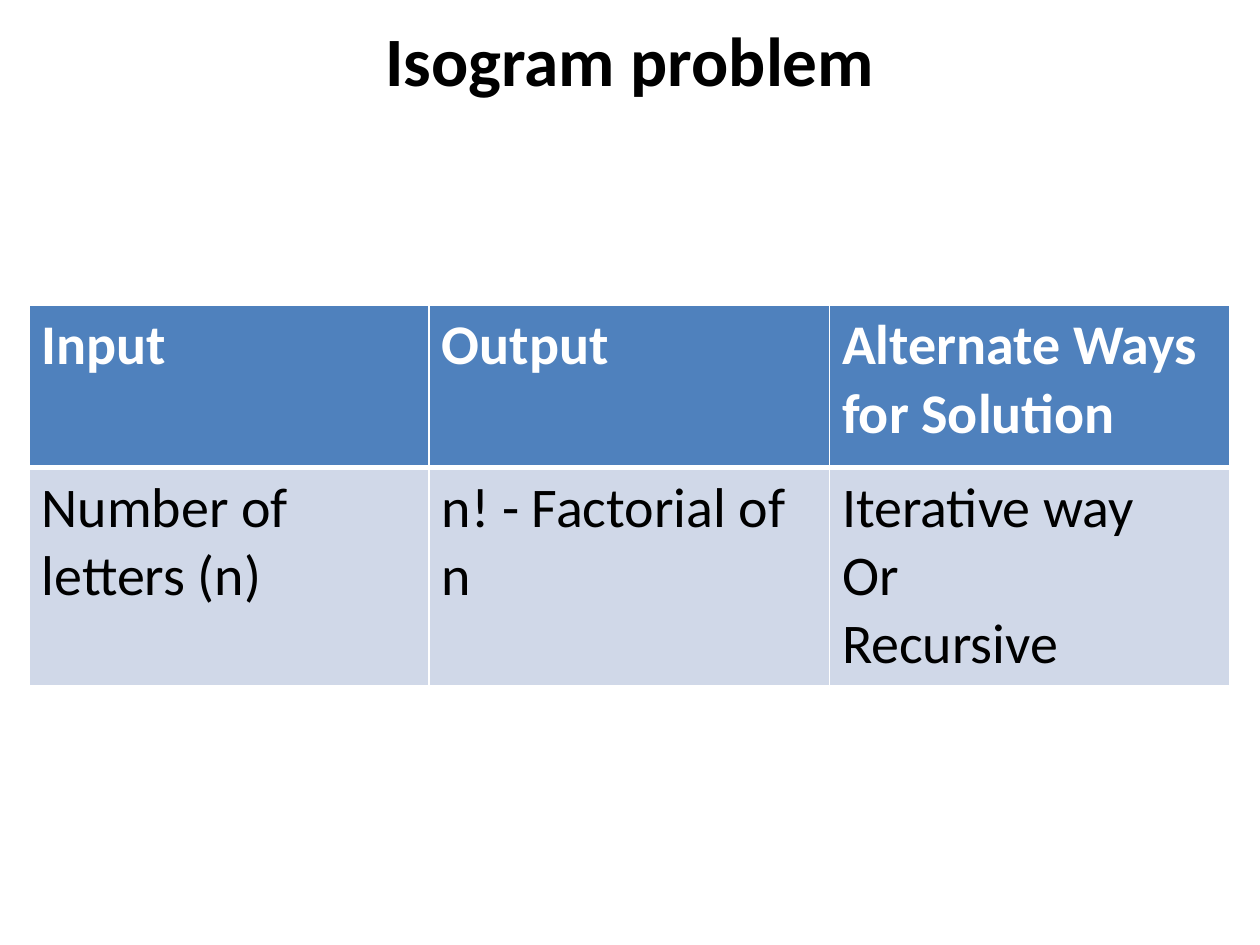
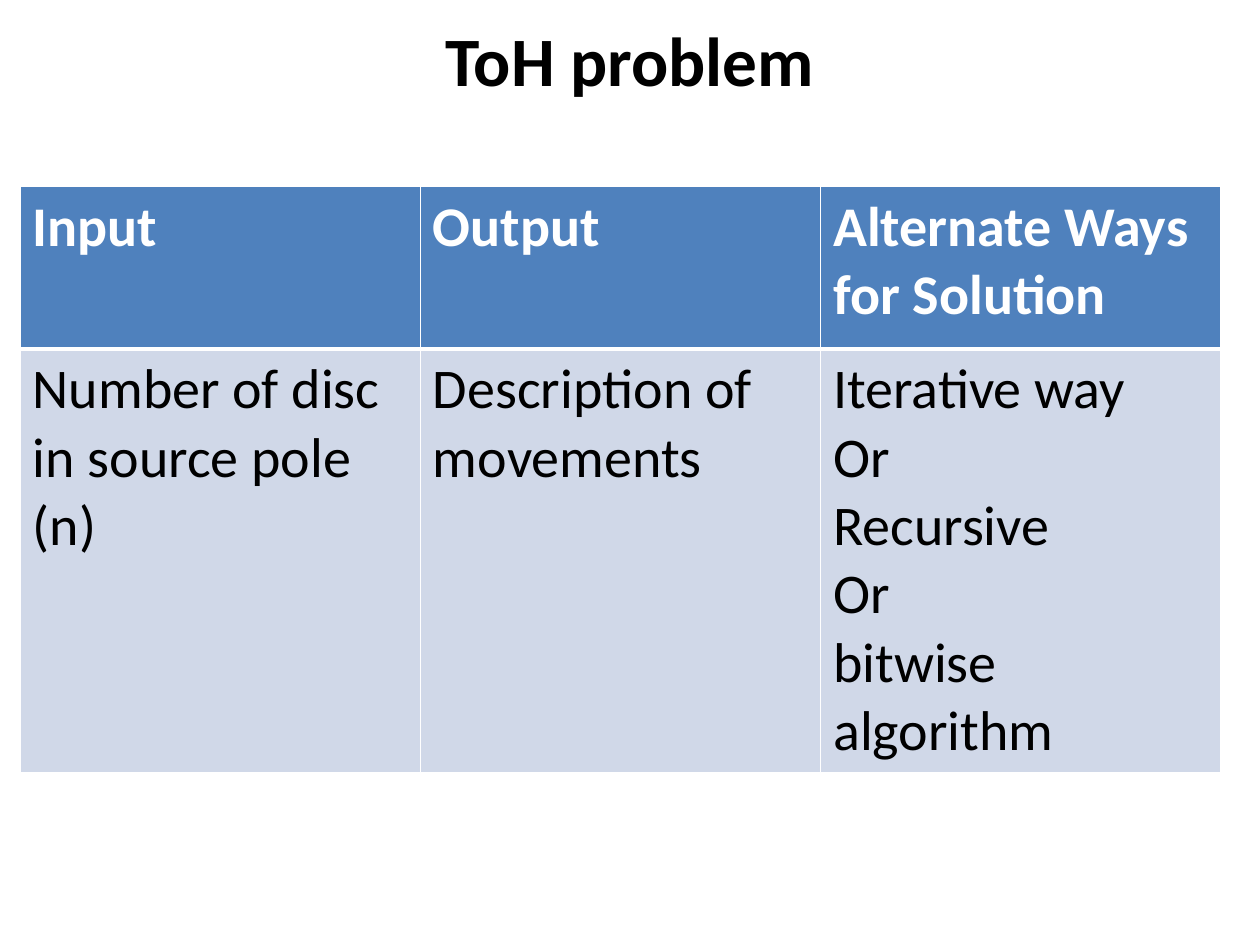
from lxml import etree
from pptx import Presentation
from pptx.dml.color import RGBColor
from pptx.enum import text as t
from pptx.oxml.ns import qn
from pptx.util import Inches, Pt

BLACK = RGBColor(0x00, 0x00, 0x00)
WHITE = RGBColor(0xFF, 0xFF, 0xFF)
BLUE = RGBColor(0x4F, 0x81, 0xBD)
PALE = RGBColor(0xD0, 0xD8, 0xE8)
FONT = "Calibri"
HEADS = ["Input", "Output", "Alternate Ways for Solution"]
WIDTH = 9.53
HEAD_HIGH = 1.29
THIN, THICK = 1, 3


def write(frame, words, size=32, color=BLACK, bold=False, align=None):
    """Fill a text frame, one paragraph for each line of words."""
    frame.word_wrap = True
    frame.text = words
    for para in frame.paragraphs:
        para.alignment = align
        for run in para.runs:
            font = run.font
            font.name, font.size, font.bold = FONT, Pt(size), bold
            font.color.rgb = color


def add_title(slide, words):
    title = slide.shapes.title
    title.left, title.top = Inches(0.5), Inches(0.08)
    title.width, title.height = Inches(9), Inches(0.78)
    write(title.text_frame, words, size=39.6, bold=True,
          align=t.PP_ALIGN.CENTER)
    title.text_frame.vertical_anchor = t.MSO_ANCHOR.MIDDLE


def add_edges(cell, top, bottom):
    """Draw white borders; top and bottom are widths in points."""
    props = cell._tc.get_or_add_tcPr()
    edges = {"lnL": THIN, "lnR": THIN, "lnT": top, "lnB": bottom}
    for spot, (tag, width) in enumerate(edges.items()):
        line = etree.Element(qn(f"a:{tag}"), w=str(Pt(width)))
        fill = etree.SubElement(line, qn("a:solidFill"))
        etree.SubElement(fill, qn("a:srgbClr"), val=str(WHITE))
        props.insert(spot, line)


def fill_row(row, texts, back, top, bottom, **style):
    for cell, words in zip(row.cells, texts):
        write(cell.text_frame, words, **style)
        cell.fill.solid()
        cell.fill.fore_color.rgb = back
        add_edges(cell, top, bottom)


def add_grid(slide, left, top, high, texts):
    frame = slide.shapes.add_table(
        2, len(HEADS), Inches(left), Inches(top), Inches(WIDTH), Inches(high))
    head, body = frame.table.rows
    head.height = Inches(HEAD_HIGH)
    body.height = Inches(high - HEAD_HIGH)
    fill_row(head, HEADS, BLUE, THIN, THICK, color=WHITE, bold=True)
    fill_row(body, texts, PALE, THICK, THIN)


def add_problem(deck, title, left, top, high, texts):
    slide = deck.slides.add_slide(deck.slide_layouts[5])
    add_title(slide, title)
    add_grid(slide, left, top, high, texts)


def main():
    deck = Presentation()
    deck.slide_width, deck.slide_height = Inches(10), Inches(7.5)
    add_problem(deck, "Isogram problem", 0.23, 2.42, 2.99, [
        "Number of letters (n)",
        "n! - Factorial of n",
        "Iterative way\nOr\nRecursive"])
    add_problem(deck, "ToH problem", 0.16, 1.48, 4.59, [
        "Number of disc in source pole (n)",
        "Description of movements",
        "Iterative way\nOr\nRecursive\nOr\nbitwise algorithm"])
    deck.save("out.pptx")


if __name__ == "__main__":
    main()
